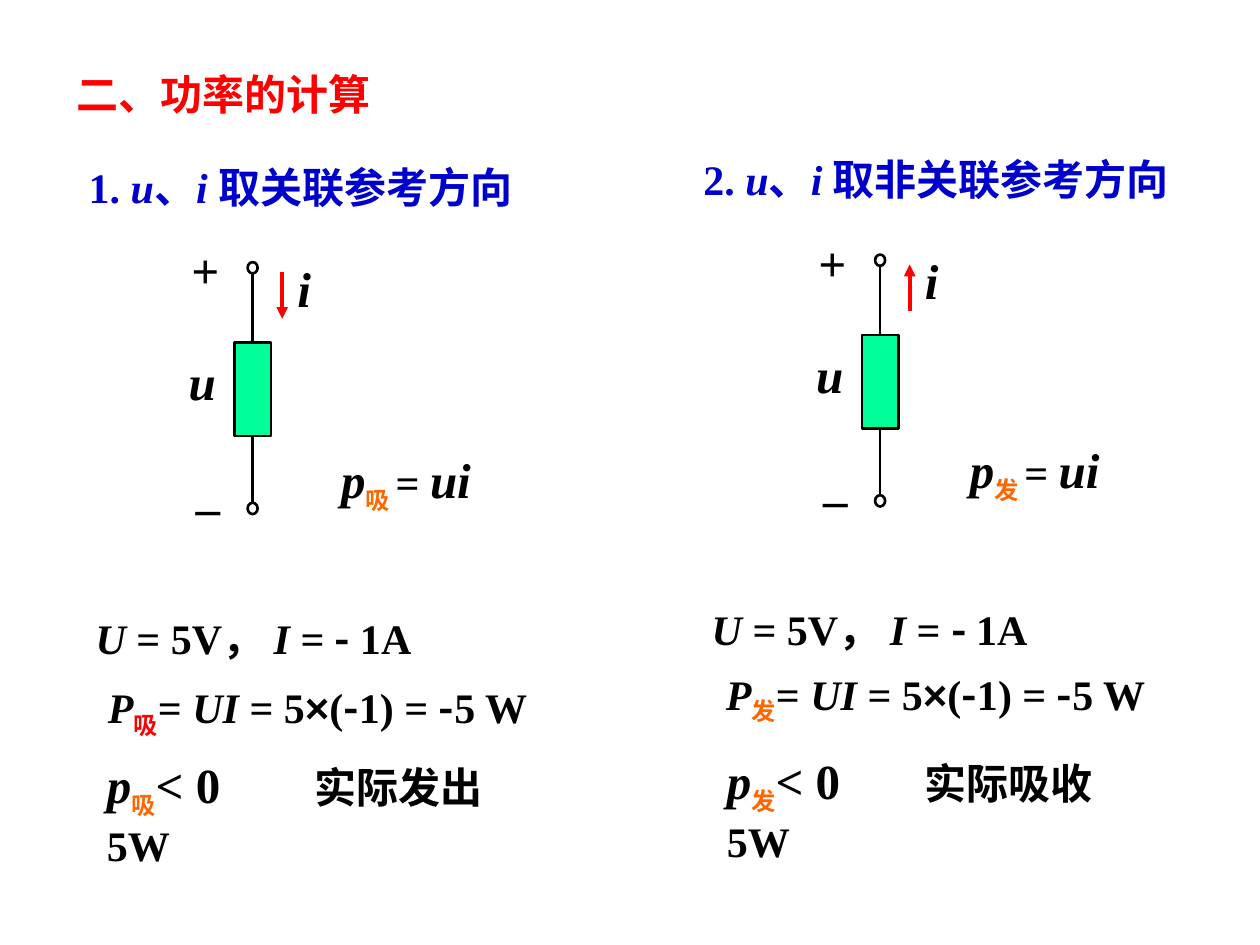
from dataclasses import dataclass
from lxml.etree import SubElement
from pptx import Presentation
from pptx.dml.color import RGBColor
from pptx.enum.shapes import MSO_CONNECTOR, MSO_SHAPE
from pptx.enum.text import MSO_ANCHOR, MSO_AUTO_SIZE, PP_ALIGN
from pptx.oxml.ns import qn
from pptx.util import Inches, Pt


@dataclass(frozen=True)
class Theme:
    black: str = "000000"
    white: str = "FFFFFF"
    red: str = "FF0000"
    blue: str = "0000CC"
    green: str = "00FF99"
    orange: str = "FF6600"
    body: int = 24
    large: int = 28
    thin: float = 1.5
    thick: float = 2.25
    serif: str = "Times New Roman"
    sans: str = "Arial"
    asian: str = "Noto Sans CJK SC"


@dataclass(frozen=True)
class Part:
    text: str
    size: int = Theme.body
    color: str = Theme.black
    italic: bool = False
    face: str = Theme.serif
    low: bool = False


class Board:
    def __init__(self, slide, theme):
        self.slide = slide
        self.theme = theme

    def place(self, shape, left, top, width, height):
        shape.left, shape.top = Inches(left), Inches(top)
        shape.width, shape.height = Inches(width), Inches(height)

    def fill(self, shape, parts, align, tab=None):
        frame = shape.text_frame
        frame.word_wrap = True
        frame.auto_size = MSO_AUTO_SIZE.SHAPE_TO_FIT_TEXT
        frame.vertical_anchor = MSO_ANCHOR.MIDDLE
        para = frame.paragraphs[0]
        para.alignment = align
        if tab:
            stops = SubElement(para._p.get_or_add_pPr(), qn("a:tabLst"))
            SubElement(stops, qn("a:tab"), pos=str(Inches(tab)), algn="l")
        for part in parts:
            run = para.add_run()
            run.text = part.text
            font = run.font
            font.size = Pt(part.size)
            font.bold = True
            font.italic = part.italic
            font.name = part.face
            font.color.rgb = RGBColor.from_string(part.color)
            props = run._r.get_or_add_rPr()
            SubElement(props, qn("a:ea"), typeface=self.theme.asian)
            if part.low:
                props.set("baseline", "-25000")

    def title(self, box, parts):
        shape = self.slide.shapes.title
        self.place(shape, *box)
        self.fill(shape, parts, PP_ALIGN.LEFT)

    def text(self, box, parts, align=PP_ALIGN.LEFT, turn=0, tab=None):
        shape = self.slide.shapes.add_textbox(*map(Inches, box))
        shape.rotation = turn
        self.fill(shape, parts, align, tab)

    def shape(self, kind, box, fill):
        shape = self.slide.shapes.add_shape(kind, *map(Inches, box))
        shape.shadow.inherit = False
        shape.fill.solid()
        shape.fill.fore_color.rgb = RGBColor.from_string(fill)
        shape.line.color.rgb = RGBColor.from_string(self.theme.black)
        shape.line.width = Pt(self.theme.thin)
        return shape

    def line(self, start, end, color, width, arrow=False):
        line = self.slide.shapes.add_connector(
            MSO_CONNECTOR.STRAIGHT, *map(Inches, (*start, *end)))
        line.line.color.rgb = RGBColor.from_string(color)
        line.line.width = Pt(width)
        if arrow:
            SubElement(line.line._get_or_add_ln(), qn("a:tailEnd"), type="triangle")
        SubElement(line._element.spPr, qn("a:effectLst"))
        return line

    def circuit(self, x, y, up):
        look = self.theme
        body = self.shape(MSO_SHAPE.RECTANGLE, (x + 0.6, y + 0.84, 0.29, 0.74), look.green)
        mid = x + 0.745
        for top in (0.2, 2.11):
            dot = self.shape(MSO_SHAPE.OVAL, (mid - 0.04, y + top, 0.08, 0.09), look.white)
        upper = self.line((mid, y + 0.29), (mid, y + 0.84), look.black, look.thin)
        upper.end_connect(body, 0)
        lower = self.line((mid, y + 1.58), (mid, y + 2.11), look.black, look.thin)
        lower.begin_connect(body, 2)
        lower.end_connect(dot, 0)
        ends = [(x + 0.98, y + 0.28), (x + 0.98, y + 0.65)]
        if up:
            ends.reverse()
        self.line(*ends, look.red, look.thick, arrow=True)
        marks = (
            ("+", 0.15, 0, 0.49, False, 90),
            ("–", 0.09, 1.85, 0.6, False, 0),
            ("i", 0.89, 0.12, 0.53, True, 0),
            ("u", 0, 0.86, 0.69, True, 0),
        )
        for sign, left, top, width, slant, turn in marks:
            self.text((x + left, y + top, width, 0.57),
                      [Part(sign, look.large, italic=slant)], PP_ALIGN.CENTER, turn)


@dataclass(frozen=True)
class Case:
    head: str
    topic: str
    sub: str
    tint: str
    result: str
    tab: float
    origin: tuple
    up: bool
    boxes: tuple


def draw(board, case):
    look = board.theme
    head, law, given, power, verdict = case.boxes
    board.text(head, [
        Part(case.head, color=look.blue),
        Part("u", color=look.blue, italic=True),
        Part("、", color=look.blue),
        Part("i ", color=look.blue, italic=True),
        Part(case.topic, color=look.blue),
    ], PP_ALIGN.CENTER)
    board.circuit(*case.origin, case.up)
    board.text(law, [
        Part("p", look.large, italic=True),
        Part(case.sub + " ", color=look.orange, low=True),
        Part("= "),
        Part("ui", look.large, italic=True),
    ])
    board.text(given, [
        Part("U ", italic=True), Part("= 5V， "), Part("I ", italic=True),
        Part("= "), Part("- ", face=look.asian), Part("1A"),
    ])
    board.text(power, [
        Part("P", italic=True), Part(case.sub, color=case.tint, low=True),
        Part("= "), Part("UI ", italic=True), Part("= 5"),
        Part("×", face=look.sans), Part("("), Part("-", face=look.asian),
        Part("1) = "), Part("-", face=look.asian), Part("5 W"),
    ], PP_ALIGN.CENTER)
    board.text(verdict, [
        Part("p", look.large, italic=True),
        Part(case.sub, color=look.orange, low=True),
        Part("< 0", look.large), Part("\t" + case.result),
    ], tab=case.tab)


def main():
    deck = Presentation()
    deck.slide_width, deck.slide_height = Inches(10), Inches(7.5)
    look = Theme()
    board = Board(deck.slides.add_slide(deck.slide_layouts[5]), look)
    board.title((0.51, 0.49, 2.85, 0.5), [Part("二、功率的计算", color=look.red)])
    cases = (
        Case("1. ", "取关联参考方向", "吸", look.red, "实际发出5W", 1.65, (1.26, 1.88), False, (
            (0.3, 1.23, 4.17, 0.5), (2.61, 3.52, 1.62, 0.61), (0.66, 4.81, 3.58, 0.5),
            (0.51, 5.36, 4.02, 0.56), (0.75, 5.94, 3.5, 1.01))),
        Case("2. ", "取非关联参考方向", "发", look.orange, "实际吸收5W", 1.57, (6.24, 1.82), True, (
            (5.43, 0.97, 4, 0.9), (7.6, 3.44, 1.47, 0.61), (5.55, 4.74, 3.75, 0.5),
            (5.28, 5.25, 4.29, 0.56), (5.67, 5.91, 3.5, 1.01))),
    )
    for case in cases:
        draw(board, case)
    deck.save("out.pptx")


if __name__ == "__main__":
    main()
